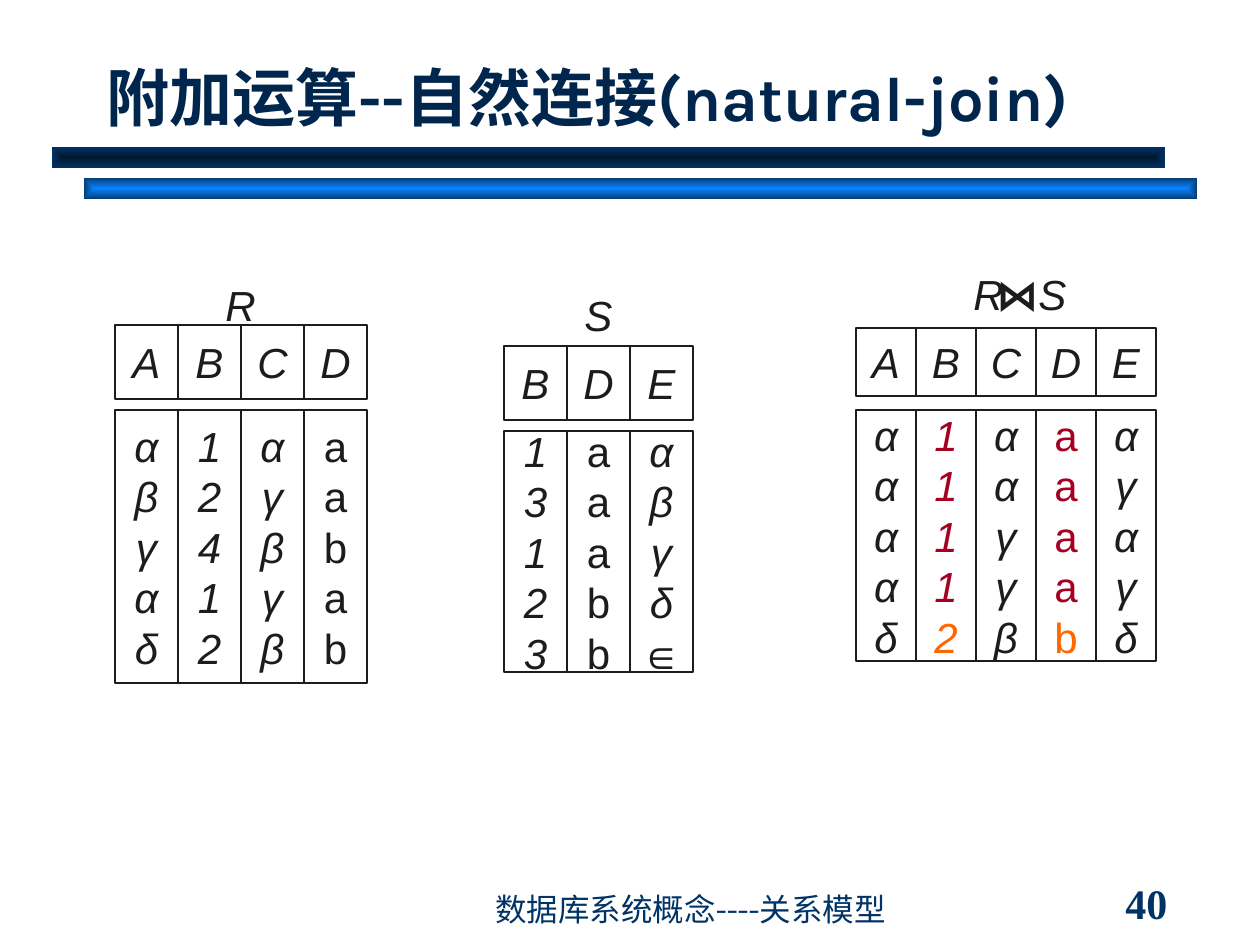
from lxml.etree import SubElement
from pptx import Presentation
from pptx.dml.color import RGBColor
from pptx.enum.shapes import MSO_SHAPE
from pptx.enum.text import MSO_ANCHOR, PP_ALIGN
from pptx.oxml import parse_xml
from pptx.oxml.ns import nsdecls, qn
from pptx.util import Pt

PX = 914400 / 126
INK = RGBColor(0x1C, 0x1C, 0x1C)
NAVY = RGBColor(0x00, 0x33, 0x66)
TITLE_NAVY = RGBColor(0x00, 0x26, 0x4D)
CRIMSON = RGBColor(0xA5, 0x00, 0x21)
ORANGE = RGBColor(0xFF, 0x66, 0x00)
BRIGHT_BLUE = RGBColor(0x0A, 0x84, 0xFF)
DEEP_BLUE = RGBColor(0x05, 0x3D, 0x76)
MIDNIGHT = RGBColor(0x00, 0x18, 0x2F)


def px(*lengths):
    return [round(length * PX) for length in lengths]


def write(frame, text, size=24, font="Arial", color=INK, bold=False, italic=False,
          align=PP_ALIGN.LEFT, anchor=MSO_ANCHOR.MIDDLE, wrap=False):
    frame.text = text
    frame.word_wrap = wrap
    frame.vertical_anchor = anchor
    for paragraph in frame.paragraphs:
        paragraph.alignment = align
        for run in paragraph.runs:
            run.font.size = Pt(size)
            run.font.name = font
            run.font.bold = bold
            run.font.italic = italic
            run.font.color.rgb = color


def add_label(slide, box, text, **style):
    label = slide.shapes.add_textbox(*px(*box))
    write(label.text_frame, text, **style)
    return label


def add_rectangle(slide, box):
    rectangle = slide.shapes.add_shape(MSO_SHAPE.RECTANGLE, *px(*box))
    rectangle.shadow.inherit = False
    return rectangle


def add_bar(slide, box, center, edge):
    bar = add_rectangle(slide, box)
    bar.line.fill.background()
    bar.fill.background()
    no_fill = bar.fill._xPr.find(qn("a:noFill"))
    gradient = parse_xml(
        f'<a:gradFill {nsdecls("a")} rotWithShape="1"><a:gsLst>'
        f'<a:gs pos="0"><a:srgbClr val="{center}"/></a:gs>'
        f'<a:gs pos="100000"><a:srgbClr val="{edge}"/></a:gs></a:gsLst>'
        '<a:path path="rect"><a:fillToRect l="50000" t="50000" r="50000" b="50000"/>'
        '</a:path></a:gradFill>')
    no_fill.getparent().replace(no_fill, gradient)


def add_header(slide, box):
    left, top, width, height = box
    add_bar(slide, (left + 32, top + 147, width, 21), BRIGHT_BLUE, DEEP_BLUE)
    add_bar(slide, (left, top + 116, width, 21), MIDNIGHT, NAVY)
    add_label(slide, (left + 42, top, 1074, height), "附加运算--自然连接(natural-join)",
              size=36, font="Karla", color=TITLE_NAVY, bold=True,
              anchor=MSO_ANCHOR.BOTTOM, wrap=True)


def add_footer(slide, box):
    left, top, width, height = box
    add_label(slide, (left, top + 10, 514, height), "数据库系统概念----关系模型",
              size=18, font="Karla", color=NAVY, anchor=MSO_ANCHOR.BOTTOM, wrap=True)
    add_label(slide, (left + width - 136, top, 136, height), "40",
              font="Times New Roman", color=NAVY, bold=True)


def add_cell(slide, box, text, italic=True):
    cell = add_rectangle(slide, box)
    cell.fill.background()
    cell.line.color.rgb = INK
    cell.line.width = Pt(0.75)
    write(cell.text_frame, text, italic=italic, align=PP_ALIGN.CENTER)
    return cell


def add_relation(slide, box, columns, header_height, body_top, joined=()):
    """Draw attribute headers over value columns; joined columns are coloured."""
    left, top, width, height = box
    column_width = width / len(columns)
    for index, (attribute, values) in enumerate(columns.items()):
        x = left + index * column_width
        add_cell(slide, (x, top, column_width, header_height), attribute)
        body = add_cell(slide, (x, top + body_top, column_width, height - body_top),
                        "\n".join(values), italic=attribute != "D")
        if attribute in joined:
            *matches, last_match = body.text_frame.paragraphs
            for match in matches:
                match.runs[0].font.color.rgb = CRIMSON
            last_match.runs[0].font.color.rgb = ORANGE


def add_name(slide, box, name):
    add_label(slide, box, name, italic=True, align=PP_ALIGN.CENTER)


def add_join_name(slide, box):
    left, top, width, height = box
    operands = add_label(slide, box, "R\tS", italic=True,
                         anchor=MSO_ANCHOR.TOP, wrap=True)
    tabs = SubElement(operands.text_frame.paragraphs[0]._p.get_or_add_pPr(), qn("a:tabLst"))
    SubElement(tabs, qn("a:tab"), pos=str(px(65)[0]), algn="l")
    add_label(slide, (left + 23, top, 67, 63), "⋈", font="Karla", bold=True,
              anchor=MSO_ANCHOR.TOP)


def main():
    presentation = Presentation()
    presentation.slide_width, presentation.slide_height = px(1260, 945)
    slide = presentation.slides.add_slide(presentation.slide_layouts[6])

    add_header(slide, (52, 31, 1113, 109))
    add_footer(slide, (483, 882, 766, 42))

    # Relation R
    add_relation(slide, (115, 325, 252, 358),
                 {"A": "αβγαδ", "B": "12412", "C": "αγβγβ", "D": "aabab"}, 74, 85)
    add_name(slide, (213, 273, 55, 63), "R")

    # Relation S
    add_relation(slide, (504, 346, 189, 326),
                 {"B": "13123", "D": "aaabb", "E": "αβγδ∈"}, 74, 85)
    add_name(slide, (572, 283, 53, 63), "S")

    # Natural join of R and S
    add_relation(slide, (856, 328, 300, 333),
                 {"A": "ααααδ", "B": "11112", "C": "ααγγβ", "D": "aaaab", "E": "αγαγδ"},
                 68, 82, joined=("B", "D"))
    add_join_name(slide, (961, 262, 158, 57))

    presentation.save("out.pptx")


if __name__ == "__main__":
    main()
